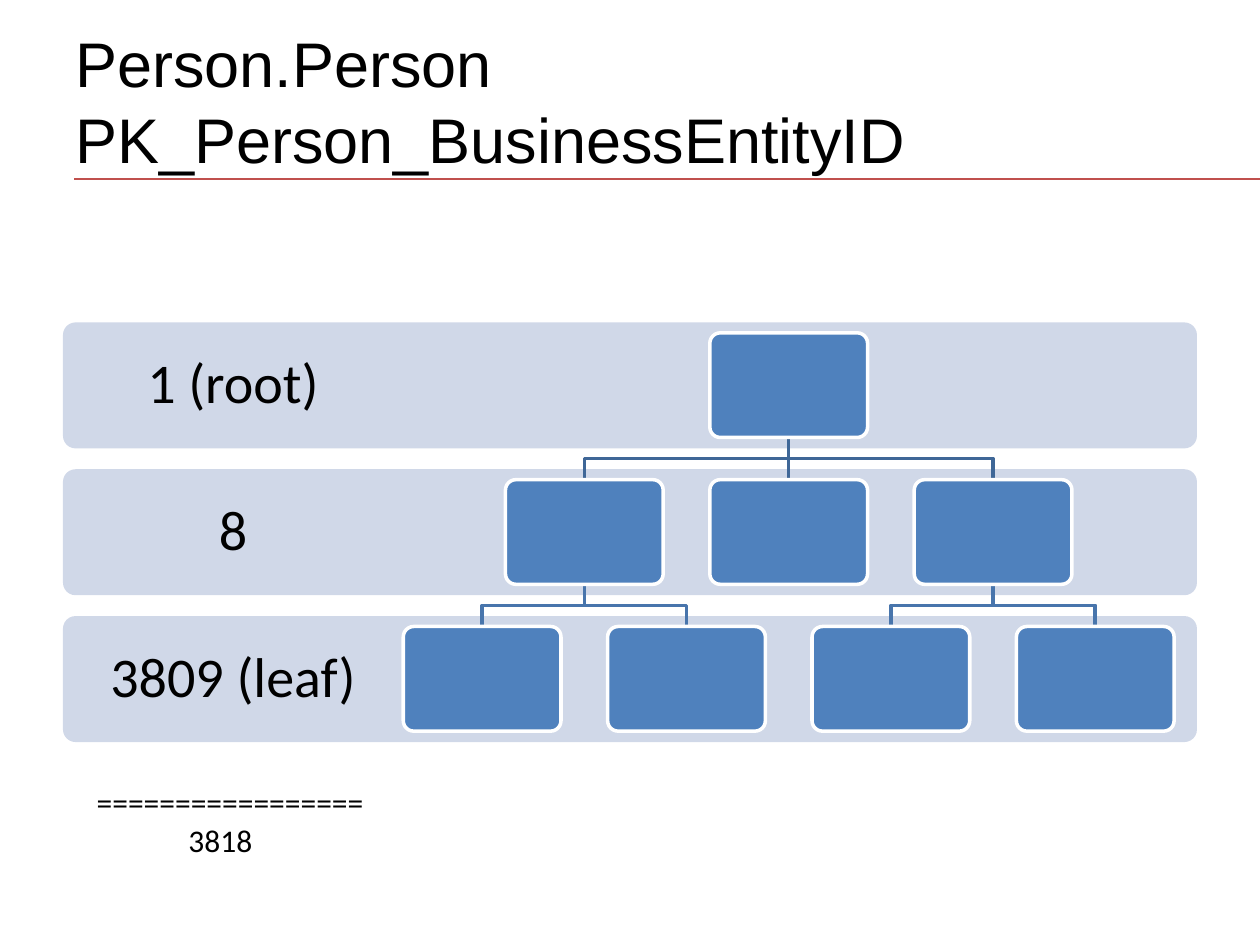
"""Build a slide showing the levels of a clustered index as a tree."""
from lxml import etree
from pptx import Presentation
from pptx.dml.color import RGBColor
from pptx.enum.shapes import MSO_CONNECTOR, MSO_SHAPE
from pptx.enum.text import MSO_ANCHOR, PP_ALIGN
from pptx.oxml.ns import qn
from pptx.util import Cm, Pt

STRAIGHT = MSO_CONNECTOR.STRAIGHT
ROUNDED = MSO_SHAPE.ROUNDED_RECTANGLE
MIDDLE = MSO_ANCHOR.MIDDLE
CENTER = PP_ALIGN.CENTER
BLACK = RGBColor(0x00, 0x00, 0x00)
WHITE = RGBColor(0xFF, 0xFF, 0xFF)
RED = RGBColor(0xC0, 0x50, 0x4D)
BAND_BLUE = RGBColor(0xD0, 0xD8, 0xE8)
NODE_BLUE = RGBColor(0x4F, 0x81, 0xBD)
UPPER_LINK = RGBColor(0x3F, 0x67, 0x97)
LOWER_LINK = RGBColor(0x48, 0x75, 0xAC)

BAND_TOP, BAND_STEP, BAND_HEIGHT = 6.5, 2.96, 2.54
NODE_WIDTH, NODE_HEIGHT, NODE_INSET = 3.18, 2.11, 0.21
ROOT_X, HALF_STEP = 15.9, 2.06

presentation = Presentation()
presentation.slide_width = Cm(25.4)
presentation.slide_height = Cm(19.05)
slide = presentation.slides.add_slide(presentation.slide_layouts[6])


def add_text(left, top, width, height, lines, size, font_name):
    box = slide.shapes.add_textbox(Cm(left), Cm(top), Cm(width), Cm(height))
    frame = box.text_frame
    frame.word_wrap = True
    frame.text = "\n".join(lines)
    for paragraph in frame.paragraphs:
        paragraph.font.size = Pt(size)
        paragraph.font.name = font_name
        paragraph.font.color.rgb = BLACK
    return frame


def add_rounded(left, top, width, height, color):
    shape = slide.shapes.add_shape(ROUNDED, Cm(left), Cm(top), Cm(width), Cm(height))
    shape.adjustments[0] = 0.1
    shape.shadow.inherit = False
    shape.fill.solid()
    shape.fill.fore_color.rgb = color
    shape.line.fill.background()
    return shape


rule = slide.shapes.add_connector(STRAIGHT, Cm(1.5), Cm(3.61), Cm(25.4), Cm(3.61))
rule.line.color.rgb = RED
rule.line.width = Pt(1)
etree.SubElement(rule.element.spPr, qn("a:effectLst"))

title = add_text(1.27, 0.43, 22.86, 3.18,
                 ["Person.Person\vPK_Person_BusinessEntityID"], 36, "Arial")
title.vertical_anchor = MIDDLE

for level, label in enumerate(["1 (root)", "8", "3809 (leaf)"]):
    top = BAND_TOP + level * BAND_STEP
    add_rounded(1.27, top, 22.86, BAND_HEIGHT, BAND_BLUE)
    frame = add_text(1.27, top, 6.86, BAND_HEIGHT, [label], 32, "Calibri")
    frame.vertical_anchor = MIDDLE
    frame.margin_left = frame.margin_right = Cm(0.64)
    frame.margin_top = frame.margin_bottom = Cm(0.64)
    frame.paragraphs[0].alignment = CENTER
    frame.paragraphs[0].line_spacing = 0.9

branch_xs = [ROOT_X + offset * HALF_STEP for offset in (-2, 0, 2)]
links = [(0, ROOT_X, x, UPPER_LINK) for x in branch_xs]
links += [(1, parent, parent + side * HALF_STEP, LOWER_LINK)
          for parent in (branch_xs[0], branch_xs[2]) for side in (-1, 1)]

for level, parent_x, child_x, color in links:
    start = BAND_TOP + level * BAND_STEP + NODE_INSET + NODE_HEIGHT
    end = BAND_TOP + (level + 1) * BAND_STEP + NODE_INSET
    bend = (start + end) / 2
    points = [(parent_x, bend), (child_x, bend), (child_x, end)]
    if child_x == parent_x:
        points = [(child_x, end)]
    builder = slide.shapes.build_freeform(Cm(parent_x), Cm(start))
    builder.add_line_segments([(Cm(x), Cm(y)) for x, y in points], close=False)
    link = builder.convert_to_shape()
    link.shadow.inherit = False
    link.fill.background()
    link.line.color.rgb = color
    link.line.width = Pt(2)

nodes = [(0, ROOT_X)] + [(level + 1, child_x) for level, _, child_x, _ in links]
for level, center_x in nodes:
    node = add_rounded(center_x - NODE_WIDTH / 2,
                       BAND_TOP + level * BAND_STEP + NODE_INSET,
                       NODE_WIDTH, NODE_HEIGHT, NODE_BLUE)
    node.line.color.rgb = WHITE
    node.line.width = Pt(2)

total = add_text(1.7, 15.67, 6.15, 1.8, ["=" * 17, "3818"], 18, "Calibri")
total.paragraphs[1]._p.get_or_add_pPr().set("marL", str(Cm(1.85)))

presentation.save("out.pptx")
